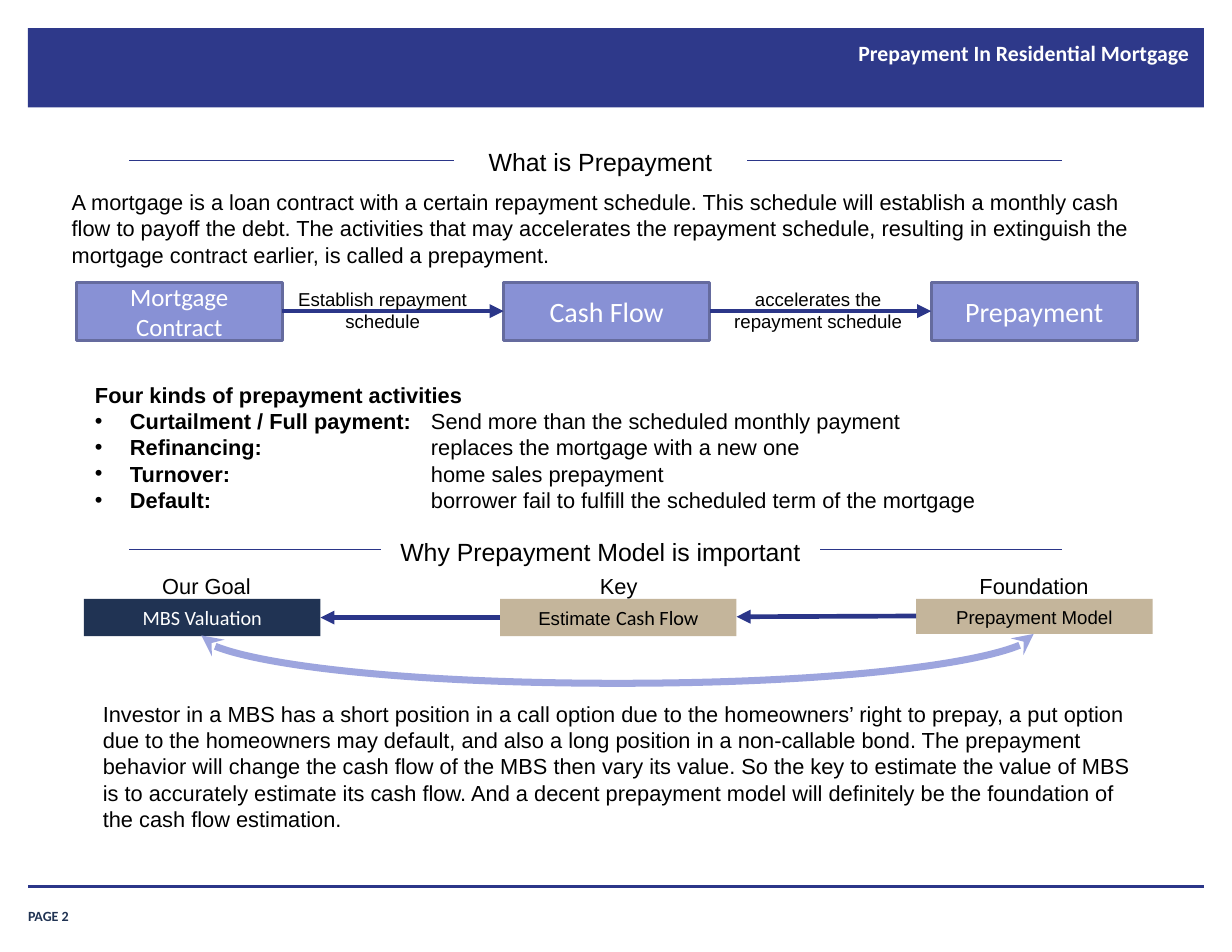
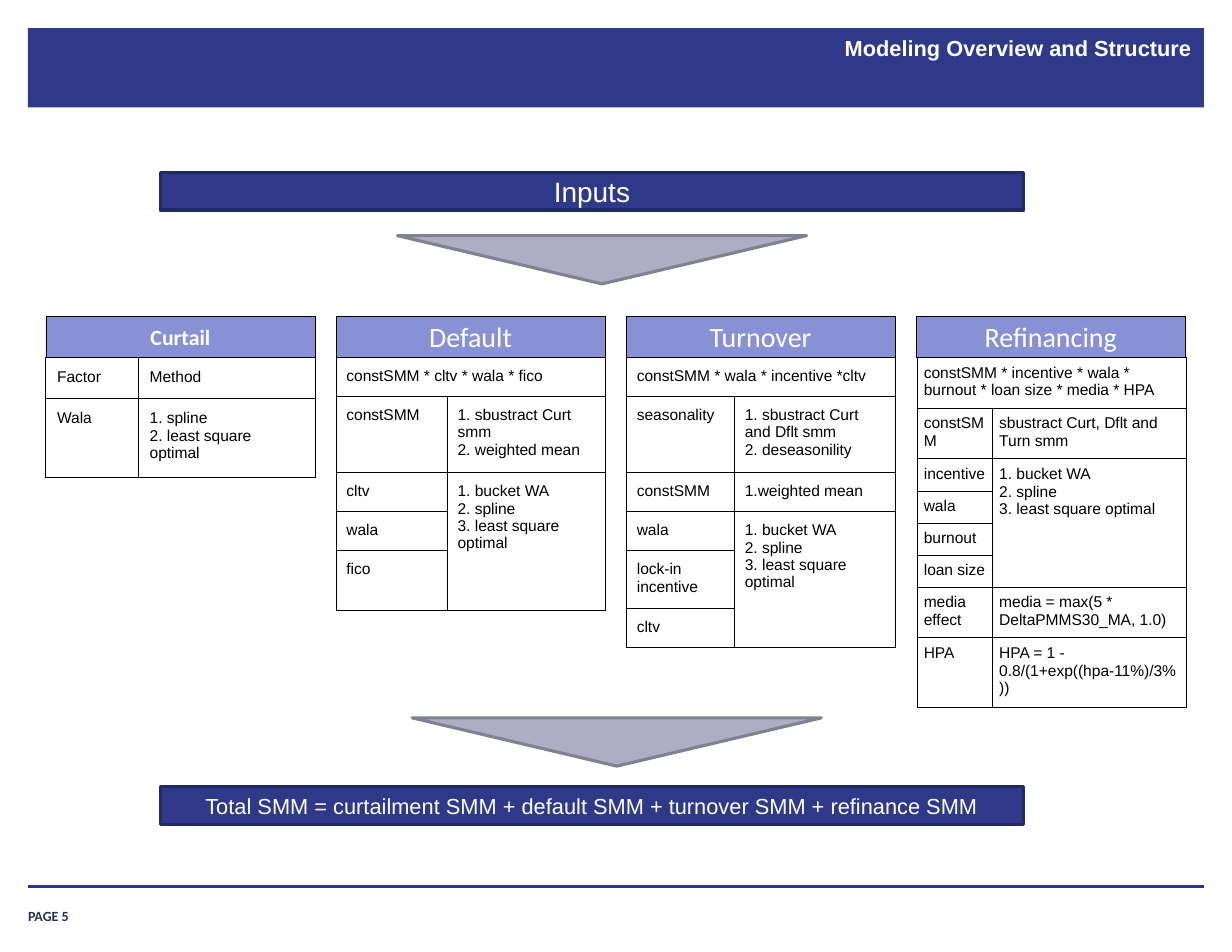
from lxml import etree
from pptx import Presentation
from pptx.dml.color import RGBColor
from pptx.enum.shapes import MSO_CONNECTOR, MSO_SHAPE
from pptx.enum.text import MSO_ANCHOR, PP_ALIGN
from pptx.oxml.ns import qn
from pptx.util import Pt

LEFT, CENTER, RIGHT = PP_ALIGN.LEFT, PP_ALIGN.CENTER, PP_ALIGN.RIGHT
TOP, MIDDLE, BOTTOM = MSO_ANCHOR.TOP, MSO_ANCHOR.MIDDLE, MSO_ANCHOR.BOTTOM
RECTANGLE, TRIANGLE = MSO_SHAPE.RECTANGLE, MSO_SHAPE.ISOSCELES_TRIANGLE
STRAIGHT, CURVE = MSO_CONNECTOR.STRAIGHT, MSO_CONNECTOR.CURVE

COLORS = {
    "band": "2E398A", "band_edge": "222A66", "rule": "2B3689", "navy": "203353",
    "lilac": "8891D5", "lilac_edge": "656B9E", "curve": "9DA5DE", "tan": "C4B59B",
    "gray": "ADAEC4", "gray_edge": "808191", "white": "FFFFFF", "black": "000000",
}
BODY = {"name": "Arial", "size": 14, "bold": False, "color": "black"}
HEADING = {**BODY, "size": 16}
NOTE = {**BODY, "size": 12}
CELL = {**BODY, "size": 10}
LIGHT = {**BODY, "name": "Calibri", "size": 18, "color": "white"}
TITLE = {**LIGHT, "size": 14, "bold": True}
FOOTER = {**TITLE, "size": 9, "color": "navy"}
INSETS = (7.2, 3.6)
WIDE_INSETS = (7.9, 4.3)


def rgb(color):
    return RGBColor.from_string(COLORS[color])


def add_xml(parent, tag, **attributes):
    return etree.SubElement(parent, qn(tag), attributes)


class Deck:
    """Holds the style and the current slide; all lengths are points."""

    def __init__(self, width, height):
        self.deck = Presentation()
        self.deck.slide_width, self.deck.slide_height = Pt(width), Pt(height)
        self.page = None

    def new_page(self, number, title, frame, style):
        self.page = self.deck.slides.add_slide(self.deck.slide_layouts[6])
        self.box((18, 18, 756, 51), fill="band")
        self.text((18, 577.5, 65.5, 16.5), f"PAGE {number}", FOOTER, LEFT, BOTTOM, (0, 0))
        self.line((18, 570), (774, 570), 2)
        self.text(frame, title, style, RIGHT, insets=WIDE_INSETS)

    def format_font(self, font, style):
        values = {**style, "size": Pt(style["size"])}
        font.color.rgb = rgb(values.pop("color"))
        for attribute, value in values.items():
            setattr(font, attribute, value)

    def add_words(self, holder, content, style, align):
        """Content is a string, or a list of paragraphs made of (text, changes) spans."""
        paragraphs = [[(content, {})]] if isinstance(content, str) else content
        for index, spans in enumerate(paragraphs):
            para = holder.paragraphs[0] if index == 0 else holder.add_paragraph()
            para.alignment = align
            for words, changes in spans:
                span = para.add_run()
                span.text = words
                self.format_font(span.font, {**style, **changes})

    def fill_frame(self, shape, content, style, align, anchor, insets):
        across, down = insets
        values = {
            "word_wrap": True, "vertical_anchor": anchor,
            "margin_left": Pt(across), "margin_right": Pt(across),
            "margin_top": Pt(down), "margin_bottom": Pt(down),
        }
        for attribute, value in values.items():
            setattr(shape.text_frame, attribute, value)
        self.add_words(shape.text_frame, content, style, align)

    def text(self, frame, content, style=BODY, align=LEFT, anchor=TOP, insets=INSETS):
        box = self.page.shapes.add_textbox(*map(Pt, frame))
        self.fill_frame(box, content, style, align, anchor, insets)
        return box

    def box(self, frame, content=None, style=LIGHT, fill="lilac", edge=None, weight=2,
            anchor=MIDDLE, insets=INSETS, kind=RECTANGLE):
        box = self.page.shapes.add_shape(kind, *map(Pt, frame))
        box.shadow.inherit = False
        box.fill.solid()
        box.fill.fore_color.rgb = rgb(fill)
        if edge:
            box.line.color.rgb = rgb(edge)
            box.line.width = Pt(weight)
        else:
            box.line.fill.background()
        if content:
            self.fill_frame(box, content, style, CENTER, anchor, insets)
        return box

    def line(self, start, end, weight, color="rule", kind=STRAIGHT, head=None, tail=None):
        line = self.page.shapes.add_connector(kind, *map(Pt, start + end))
        line.line.color.rgb = rgb(color)
        line.line.width = Pt(weight)
        outline = line._element.spPr.find(qn("a:ln"))
        for tag, arrow in (("a:headEnd", head), ("a:tailEnd", tail)):
            if arrow:
                add_xml(outline, tag, type=arrow)
        add_xml(line._element.spPr, "a:effectLst")
        return line

    def heading(self, content, top, left, width):
        self.line((83, top + 12), (683, top + 12), 0.75)
        self.box((left, top, width, 26.5), content, HEADING, "white", "white", anchor=TOP)

    def down_arrow(self, left, top):
        arrow = self.box((left, top, 263, 31), fill="gray", edge="gray_edge", kind=TRIANGLE)
        arrow.rotation = 180

    def arc(self, left, right, top, depth):
        """A curve that hangs below two points: a connector turned a quarter."""
        middle, span, rise = (left + right) / 2, right - left, 1
        first = (middle - rise / 2, top - span / 2)
        curve = self.line(first, (first[0] + rise, first[1] + span), 4.5, "curve",
                          CURVE, "stealth", "stealth")
        properties = curve._element.spPr
        properties.find(qn("a:xfrm")).set("rot", "5400000")
        geometry = properties.find(qn("a:prstGeom"))
        guides = geometry.find(qn("a:avLst"))
        if guides is None:
            guides = add_xml(geometry, "a:avLst")
        add_xml(guides, "a:gd", name="adj1", fmla=f"val {depth * 100000 // rise}")

    def bullet(self, para, indent, tab):
        properties = para._p.get_or_add_pPr()
        properties.set("marL", str(Pt(indent)))
        properties.set("indent", str(-Pt(indent)))
        add_xml(properties, "a:buFont", typeface="Arial")
        add_xml(properties, "a:buChar", char="•")
        stops = add_xml(properties, "a:tabLst")
        add_xml(stops, "a:tab", pos=str(Pt(tab)), algn="l")

    def border(self, cell):
        properties = cell._tc.get_or_add_tcPr()
        for index, side in enumerate(("a:lnL", "a:lnR", "a:lnT", "a:lnB")):
            edge = etree.Element(qn(side), {"w": str(Pt(0.75))})
            add_xml(add_xml(edge, "a:solidFill"), "a:srgbClr", val=COLORS["black"])
            properties.insert(index, edge)

    def table(self, left, top, columns, heights, rows, inset, shared=None):
        """A first row with one entry spans the table; shared rows join their right cells."""
        frame = self.page.shapes.add_table(
            len(rows), len(columns), *map(Pt, (left, top, sum(columns), sum(heights))))
        table = frame.table
        table.first_row = table.horz_banding = False
        for column, width in zip(table.columns, columns):
            column.width = Pt(width)
        for row, height in zip(table.rows, heights):
            row.height = Pt(height)
        for cell in table.iter_cells():
            cell.fill.background()
            for side in ("left", "right", "top", "bottom"):
                setattr(cell, f"margin_{side}", Pt(inset))
            self.border(cell)
        if len(rows[0]) == 1:
            table.cell(0, 0).merge(table.cell(0, 1))
        if shared:
            table.cell(shared[0], 1).merge(table.cell(shared[1], 1))
        for row_index, entries in enumerate(rows):
            for column_index, entry in enumerate(entries):
                lines = [[(words, {})] for words in entry.split("\n")]
                self.add_words(table.cell(row_index, column_index).text_frame,
                               lines, CELL, LEFT)


def prepayment_page(deck):
    deck.new_page(2, "Prepayment In Residential Mortgage", (199.5, 21.5, 573, 50), TITLE)

    # Closing paragraph
    deck.text((59, 447, 677.5, 92),
              "Investor in a MBS has a short position in a call option due to the homeowners’ "
              "right to prepay, a put option due to the homeowners may default, and also a long "
              "position in a non-callable bond. The prepayment behavior will change the cash flow "
              "of the MBS then vary its value. So the key to estimate the value of MBS is to "
              "accurately estimate its cash flow. And a decent prepayment model will definitely "
              "be the foundation of the cash flow estimation.")

    # Definition
    deck.heading("What is Prepayment", 91, 293, 186)
    deck.text((39, 118, 702, 58),
              "A mortgage is a loan contract with a certain repayment schedule. This schedule "
              "will establish a monthly cash flow to payoff the debt. The activities that may "
              "accelerates the repayment schedule, resulting in extinguish the mortgage contract "
              "earlier, is called a prepayment.")

    # Steps from contract to prepayment
    steps = (("Mortgage Contract", 16), ("Cash Flow", 18), ("Prepayment", 18))
    first, pitch, width = 49, 274.8, 132.5
    for index, (name, size) in enumerate(steps):
        deck.box((first + index * pitch, 181.5, width, 37.5), name,
                 {**LIGHT, "size": size}, edge="lilac_edge")
    labels = (("Establish repayment schedule", 181.5), ("accelerates the repayment schedule", 461.5))
    for index, (label, left) in enumerate(labels):
        start = first + index * pitch + width
        deck.line((start, 200), (start + pitch - width, 200), 3, tail="triangle")
        deck.text((left, 181.5, 129, 36), label, NOTE, CENTER)

    # Kinds of activity
    kinds = (
        ("Curtailment / Full payment:", "Send more than the scheduled monthly payment"),
        ("Refinancing:", "replaces the mortgage with a new one"),
        ("Turnover:", "home sales prepayment"),
        ("Default:", "borrower fail to fulfill the scheduled term of the mortgage"),
    )
    strong = {"bold": True}
    content = [[("Four kinds of prepayment activities", strong)]]
    content += [[(kind, strong), (f"\t{meaning}", {})] for kind, meaning in kinds]
    box = deck.text((54, 242, 687, 92), content)
    for para in box.text_frame.paragraphs[1:]:
        deck.bullet(para, 22.5, 216)

    # Goal, key and foundation
    deck.heading("Why Prepayment Model is important", 341.5, 246, 280)
    calibri = {"name": "Calibri", "size": 13}
    roles = (
        ("Our Goal", 76.5, 54, 24, "navy", [[("MBS Valuation", {**calibri, "color": "white"})]]),
        ("Key", 341.5, 321.5, 24, "tan", [[("Estimate ", {}), ("Cash Flow", calibri)]]),
        ("Foundation", 608.5, 589, 22.5, "tan", "Prepayment Model"),
    )
    for role, label_left, left, height, fill, name in roles:
        deck.box((left, 385, 152, height), name, NOTE, fill, anchor=TOP, insets=WIDE_INSETS)
        deck.text((label_left, 364.5, 112.5, 24.5), role, BODY, CENTER)
    deck.line((321.5, 397), (206, 397), 3, tail="triangle")
    deck.line((589, 396), (473.5, 396.5), 3, tail="triangle")
    deck.arc(129.5, 664.5, 408, 32)


def modeling_page(deck):
    deck.new_page(5, "Modeling Overview and Structure", (238, 18, 536, 53),
                  {**TITLE, "name": "Arial"})

    # Inputs and total
    bar = {"fill": "band", "edge": "band_edge"}
    deck.box((103, 111, 555, 24), "Inputs", {**LIGHT, "name": "Arial"}, **bar)
    deck.box((103, 505.5, 555, 24.5),
             "Total SMM = curtailment SMM + default SMM + turnover SMM + refinance SMM",
             {**LIGHT, "name": "Arial", "size": 14}, **bar)

    # Models: name, name style, first column, cell inset, row heights, rows, shared rows
    steps = "1. bucket WA\n2. spline\n3. least square optimal"
    models = (
        ("Curtail", TITLE, 59.5, 7.2, (26, 48),
         (("Factor", "Method"), ("Wala", "1. spline\n2. least square optimal")), None),
        ("Default", LIGHT, 71.5, 6.5, (25, 46, 24, 24, 38.5),
         (("constSMM * cltv * wala * fico",),
          ("constSMM", "1. sbustract Curt smm\n2. weighted mean"),
          ("cltv", steps), ("wala",), ("fico",)), (2, 4)),
        ("Turnover", LIGHT, 69.5, 6.5, (23, 46, 23, 24, 34, 24),
         (("constSMM * wala * incentive *cltv",),
          ("seasonality", "1. sbustract Curt and Dflt smm\n2. deseasonility"),
          ("constSMM", "1.weighted mean"),
          ("wala", steps), ("lock-in incentive",), ("cltv",)), (3, 5)),
        ("Refinancing", LIGHT, 48.5, 4.3, (30.5, 30.5, 19.5, 19.5, 19.5, 19.5, 30, 41.5),
         (("constSMM * incentive * wala * burnout * loan size * media * HPA",),
          ("constSMM", "sbustract Curt, Dflt and Turn smm"),
          ("incentive", steps), ("wala",), ("burnout",), ("loan size",),
          ("media effect", "media = max(5 * DeltaPMMS30_MA, 1.0)"),
          ("HPA", "HPA = 1 - 0.8/(1+exp((hpa-11%)/3%))")), (2, 5)),
    )
    width = 173
    for index, (name, style, first, inset, heights, rows, shared) in enumerate(models):
        deck.table(29.5 + index * 186.7, 229.8, (first, width - first), heights, rows,
                   inset, shared)
        deck.box((29.5 + index * 186.5, 203.2, width, 26.6), name, style,
                 edge="black", weight=0.5)

    # Flow arrows
    deck.down_arrow(255.5, 151.5)
    deck.down_arrow(265, 461.5)


def main():
    deck = Deck(792, 612)
    prepayment_page(deck)
    modeling_page(deck)
    deck.deck.save("out.pptx")


if __name__ == "__main__":
    main()
